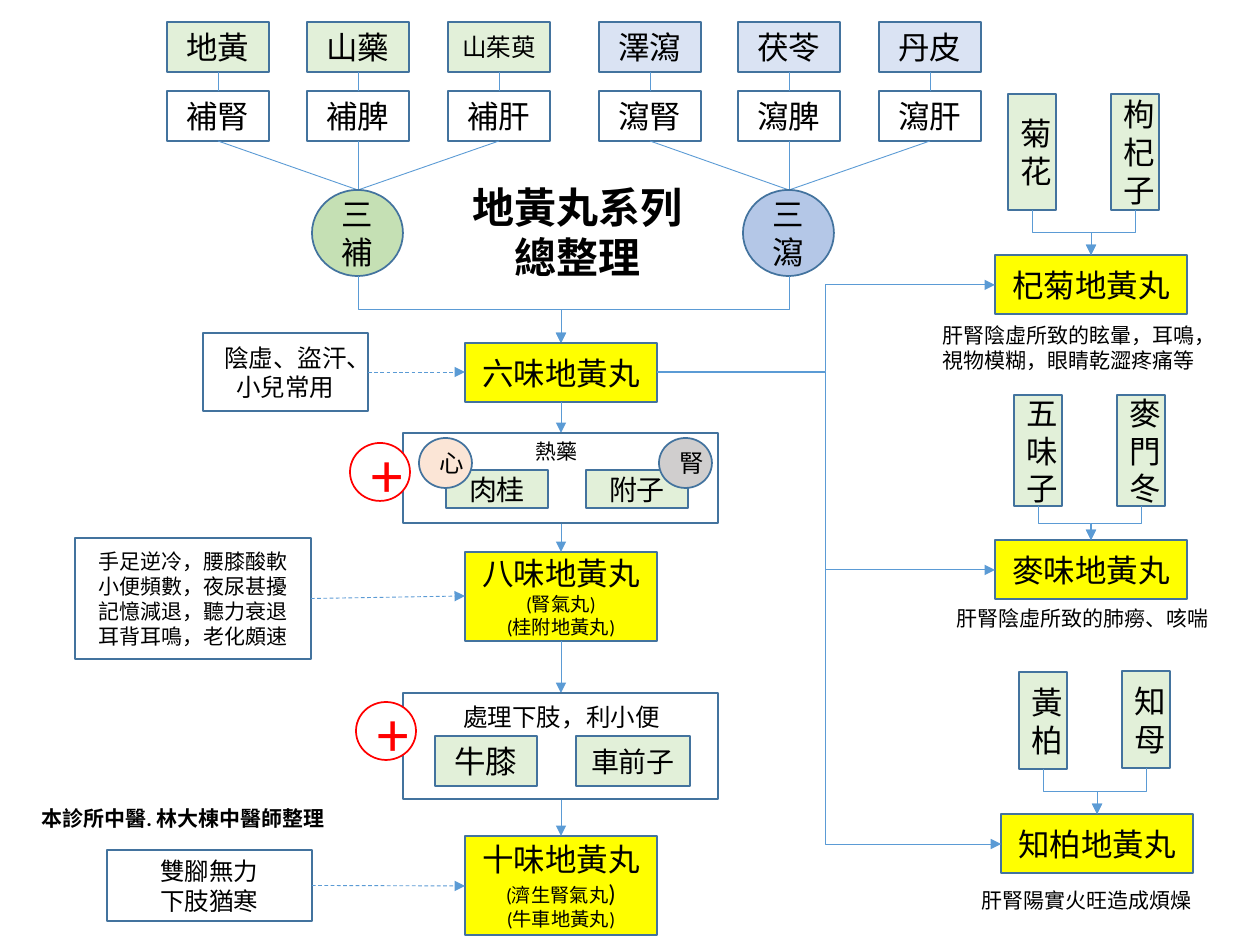
from lxml.etree import SubElement
from pptx import Presentation
from pptx.dml.color import RGBColor
from pptx.enum.dml import MSO_LINE
from pptx.enum.shapes import MSO_CONNECTOR, MSO_SHAPE
from pptx.enum.text import MSO_ANCHOR, PP_ALIGN
from pptx.oxml.ns import qn
from pptx.util import Pt

PX = 914400 / 126
BLACK = RGBColor(0x00, 0x00, 0x00)
WHITE = RGBColor(0xFF, 0xFF, 0xFF)
RED = RGBColor(0xFF, 0x00, 0x00)
YELLOW = RGBColor(0xFF, 0xFF, 0x00)
PALE_GREEN = RGBColor(0xE2, 0xF0, 0xD9)
GREEN = RGBColor(0xC5, 0xE0, 0xB4)
PALE_BLUE = RGBColor(0xDA, 0xE3, 0xF3)
BLUE = RGBColor(0xB4, 0xC7, 0xE7)
PEACH = RGBColor(0xFB, 0xE5, 0xD6)
GRAY = RGBColor(0xD0, 0xCE, 0xCE)
OUTLINE = RGBColor(0x43, 0x73, 0x9E)
LINK = RGBColor(0x5B, 0x9B, 0xD5)

presentation = Presentation()
presentation.slide_width = round(1260 * PX)
presentation.slide_height = round(945 * PX)
slide = presentation.slides.add_slide(presentation.slide_layouts[6])


def add_box(x, y, width, height, text="", size=18, fill=None, kind=MSO_SHAPE.RECTANGLE,
            line=OUTLINE, color=BLACK, sub_size=None, bold=False, align=PP_ALIGN.CENTER):
    """Add a shape, or a plain text box when it has no fill; lines after the first use sub_size."""
    bounds = [round(value * PX) for value in (x, y, width, height)]
    if fill is None:
        shape = slide.shapes.add_textbox(*bounds)
    else:
        shape = slide.shapes.add_shape(kind, *bounds)
        shape.shadow.inherit = False
        shape.fill.solid()
        shape.fill.fore_color.rgb = fill
        shape.line.color.rgb = line
        shape.line.width = Pt(1)
        shape.text_frame.vertical_anchor = MSO_ANCHOR.MIDDLE
    frame = shape.text_frame
    frame.word_wrap = True
    if text:
        frame.text = text
    for index, paragraph in enumerate(frame.paragraphs):
        paragraph.alignment = align
        paragraph.font.name = "Calibri"
        paragraph.font.size = Pt(sub_size if index and sub_size else size)
        paragraph.font.bold = bold
        paragraph.font.color.rgb = color
    return shape


def add_link(x1, y1, x2, y2, kind=MSO_CONNECTOR.STRAIGHT, arrow=True, dashed=False, drop=False):
    """Add a connector; drop makes an elbow leave downwards instead of sideways."""
    if drop:
        # Lay the elbow on its side around the same centre, then turn it
        center_x, center_y = (x1 + x2) / 2, (y1 + y2) / 2
        half_run, half_rise = abs(x2 - x1) / 2, (y2 - y1) / 2
        side = 1 if x2 > x1 else -1
        ends = (center_x + side * half_rise, center_y - half_run,
                center_x - side * half_rise, center_y + half_run)
    else:
        ends = (x1, y1, x2, y2)
    connector = slide.shapes.add_connector(kind, *[round(value * PX) for value in ends])
    connector.line.color.rgb = LINK
    connector.line.width = Pt(0.5)
    if dashed:
        connector.line.dash_style = MSO_LINE.DASH
    properties = connector.element.spPr
    if drop:
        properties.xfrm.set("rot", str((270 if x2 > x1 else 90) * 60000))
    if arrow:
        SubElement(connector.line._get_or_add_ln(), qn("a:tailEnd"), type="triangle")
    SubElement(properties, qn("a:effectLst"))
    return connector


# Six herbs, their actions, and the two groups of three
herb_groups = [
    ("三補", 358, GREEN, PALE_GREEN,
     [(218, "地黃", "補腎", 18), (358, "山藥", "補脾", 18), (499, "山茱萸", "補肝", 14)]),
    ("三瀉", 789, BLUE, PALE_BLUE,
     [(650, "澤瀉", "瀉腎", 18), (789, "茯苓", "瀉脾", 18), (930, "丹皮", "瀉肝", 18)]),
]
for group, group_x, group_fill, herb_fill, herbs in herb_groups:
    for herb_x, herb, action, size in herbs:
        add_box(herb_x - 51, 22, 102, 50, herb, size, herb_fill)
        add_box(herb_x - 51, 91, 102, 50, action, 18, WHITE)
        add_link(herb_x, 72, herb_x, 91, arrow=False)
        add_link(herb_x, 141, group_x, 190, arrow=False)
    add_box(group_x - 46, 190, 91, 86, group, 18, group_fill, MSO_SHAPE.OVAL)
    add_link(group_x, 276, 561, 343, MSO_CONNECTOR.ELBOW, drop=True)

# Title and credit
title = add_box(459, 175, 237, 115, "地黃丸系列\n總整理", 24, bold=True)
title.text_frame.word_wrap = False
add_box(29, 799, 340, 38, "本診所中醫. 林大棟中醫師整理", 12, bold=True, align=PP_ALIGN.LEFT)

# Main column of formulas
add_box(465, 343, 192, 59, "六味地黃丸", 18, YELLOW)
add_box(465, 552, 192, 89, "八味地黃丸\n(腎氣丸)\n(桂附地黃丸)", 18, YELLOW, sub_size=11)
ten_herbs = add_box(465, 836, 192, 99, "十味地黃丸\n(濟生腎氣丸\n(牛車地黃丸)", 18, YELLOW, sub_size=11)
closing_mark = ten_herbs.text_frame.paragraphs[1].add_run()
closing_mark.text = ")"
closing_mark.font.size = Pt(14)
for top, bottom in [(402, 433), (523, 552), (641, 693), (799, 836)]:
    add_link(561, top, 561, bottom)

# Indications on the left
indications = [
    (203, 333, 165, 78, "陰虛、盜汗、小兒常用", 14, 372),
    (75, 538, 236, 121, "手足逆冷，腰膝酸軟\n小便頻數，夜尿甚擾\n記憶減退，聽力衰退\n耳背耳鳴，老化頗速", 12, 596),
    (107, 850, 205, 71, "雙腳無力\n下肢猶寒", 14, 886),
]
for x, y, width, height, text, size, target_y in indications:
    add_box(x, y, width, height, text, size, WHITE)
    add_link(x + width, y + height / 2, 465, target_y, dashed=True)

# Added hot herbs
add_box(403, 433, 315, 90, fill=WHITE)
add_box(446, 470, 102, 38, "肉桂", 16, PALE_GREEN)
add_box(586, 470, 102, 38, "附子", 16, PALE_GREEN)
add_box(419, 438, 53, 50, "心", 14, PEACH, MSO_SHAPE.OVAL)
add_box(659, 438, 53, 50, "腎", 14, GRAY, MSO_SHAPE.OVAL)
add_box(523, 432, 81, 38, "熱藥", 12, align=PP_ALIGN.LEFT)

# Added herbs for the lower limbs
add_box(403, 693, 315, 106, fill=WHITE)
add_box(435, 736, 102, 50, "牛膝", 18, PALE_GREEN)
add_box(576, 736, 114, 50, "車前子", 16, PALE_GREEN)
add_box(451, 696, 315, 43, "處理下肢，利小便", 14, align=PP_ALIGN.LEFT)

# Plus signs
for x, y in [(350, 443), (356, 702)]:
    add_box(x, y, 60, 58, "+", 36, WHITE, MSO_SHAPE.OVAL, RED, RED)

# Derived formulas on the right: herbs, formula, caption
branches = [
    ("杞菊地黃丸", 995, 255, [("菊花", 1008, 94), ("枸杞子", 1111, 94)], 116,
     "肝腎陰虛所致的眩暈，耳鳴，視物模糊，眼睛乾澀疼痛等", 930, 316),
    ("麥味地黃丸", 995, 540, [("五味子", 1014, 395), ("麥門冬", 1117, 395)], 111,
     "肝腎陰虛所致的肺癆、咳喘", 944, 599),
    ("知柏地黃丸", 1001, 814, [("黃柏", 1019, 672), ("知母", 1122, 671)], 97,
     "肝腎陽實火旺造成煩燥", 969, 881),
]
for formula, x, y, herbs, herb_height, caption, caption_x, caption_y in branches:
    add_box(x, y, 192, 59, formula, 18, YELLOW)
    for herb, herb_x, herb_y in herbs:
        add_box(herb_x, herb_y, 48, herb_height, herb, 18, PALE_GREEN)
        add_link(herb_x + 24, herb_y + herb_height, x + 96, y, MSO_CONNECTOR.ELBOW, drop=True)
    add_box(caption_x, caption_y, 294, 38, caption, 12, align=PP_ALIGN.LEFT)
    branch = add_link(657, 372, x, y + 30, MSO_CONNECTOR.ELBOW)
    # Bend every branch at the same trunk
    bend = round((826 - 657) / (x - 657) * 100000)
    guides = branch.element.spPr.find(qn("a:prstGeom")).find(qn("a:avLst"))
    SubElement(guides, qn("a:gd"), name="adj1", fmla=f"val {bend}")

presentation.save("out.pptx")
